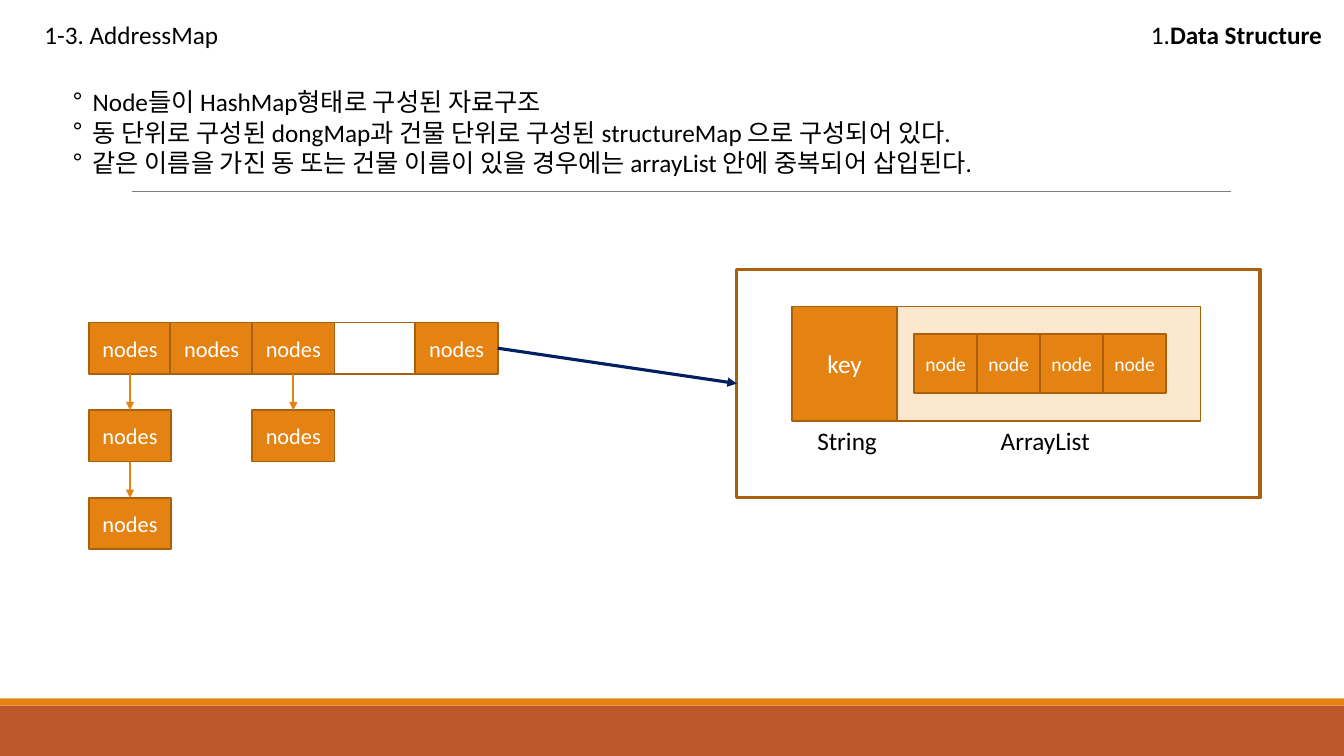
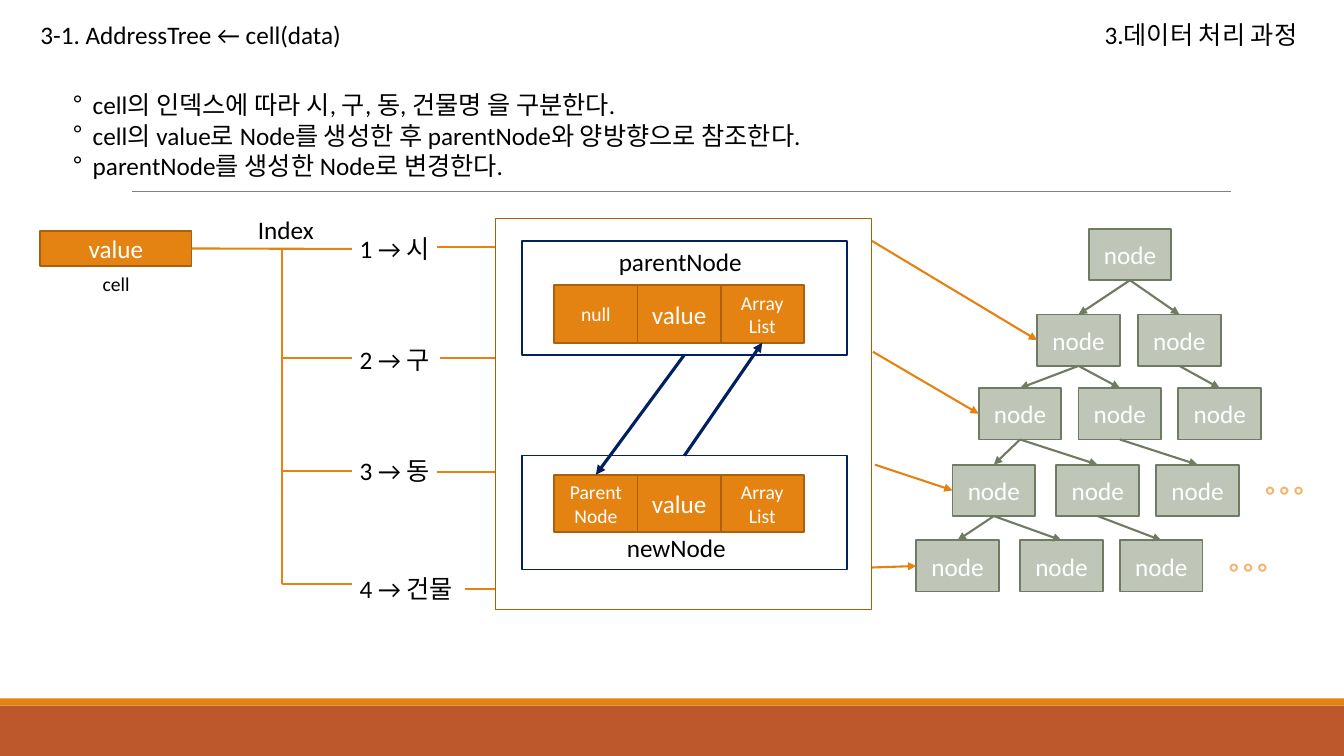
from pptx import Presentation
from pptx import util as u
from pptx.dml import color
from pptx.enum import shapes, text
from pptx.oxml.xmlchemy import OxmlElement

ORANGE, RUST, BROWN, CREAM = "E48312", "BD582C", "A9610D", "FBE6CE"
NAVY, SAGE, MOSS, AMBER = "002060", "BFC6B8", "6F7B63", "F3B56C"
WHITE, BLACK, GREY = "FFFFFF", "000000", "808080"
hue = color.RGBColor.from_string

# Slide size and a grid of 40/3 columns by 7.5 rows
prs = Presentation()
prs.slide_width, prs.slide_height = u.Inches(40 / 3), u.Inches(7.5)
COLS, ROWS = 40 / 3, 7.5
CELL = prs.slide_width / COLS


def box(page, at, words="", fill=None, edge=None, size=18, ink=None, pts=1.25, bold=None, hold=None):
    """Place a filled or outlined box, plain text, or a given placeholder."""
    x, y, w, h = [round(n * CELL) for n in at]
    solid = bool(fill or edge)
    if hold is not None:
        item = hold
        item.left, item.top, item.width, item.height = x, y, w, h
    elif solid:
        item = page.shapes.add_shape(shapes.MSO_SHAPE.RECTANGLE, x, y, w, h)
        item.shadow.inherit = False
        for part, tone in ((item.fill, fill), (item.line.fill, edge)):
            if tone:
                part.solid()
                part.fore_color.rgb = hue(tone)
            else:
                part.background()
        if edge:
            item.line.width = u.Pt(pts)
    else:
        item = page.shapes.add_textbox(x, y, w, h)
    frame = item.text_frame
    frame.word_wrap, frame.auto_size = True, text.MSO_AUTO_SIZE.NONE
    frame.vertical_anchor = text.MSO_ANCHOR.MIDDLE if solid else text.MSO_ANCHOR.TOP
    if solid:
        frame.margin_left = frame.margin_right = frame.margin_top = frame.margin_bottom = 0
    frame.text = words
    for para in frame.paragraphs:
        para.alignment = text.PP_ALIGN.CENTER if solid else text.PP_ALIGN.LEFT
        para.space_before = u.Pt(0)
        for run in para.runs:
            run.font.name, run.font.size, run.font.bold = "Calibri", u.Pt(size), bold
            run.font.color.rgb = hue(ink or (WHITE if solid else BLACK))
    return item


def wire(page, start, end, tone=ORANGE, pts=1.5, tip=False):
    """Draw a line between points (x, y) or joints (shape, side)."""
    spots = [(0, 0) if hasattr(p[0], "shape_id") else p for p in (start, end)]
    ends = [round(n * CELL) for p in spots for n in p]
    line = page.shapes.add_connector(shapes.MSO_CONNECTOR.STRAIGHT, *ends)
    for p, join in ((start, line.begin_connect), (end, line.end_connect)):
        if hasattr(p[0], "shape_id"):
            join(*p)
    line.line.color.rgb, line.line.width = hue(tone), u.Pt(pts)
    if tip:
        head = OxmlElement("a:tailEnd")
        head.set("type", "triangle")
        line.element.xpath("./p:spPr/a:ln")[0].append(head)
    line.element.xpath("./p:spPr")[0].append(OxmlElement("a:effectLst"))
    return line


# Headings and lists of both slides
topics = [
    ("1-3. AddressMap", 0.34, "1.", "Data Structure", 11.32, 0.81,
     ["Node들이 HashMap형태로 구성된 자료구조",
      "동 단위로 구성된 dongMap과 건물 단위로 구성된 structureMap 으로 구성되어 있다.",
      "같은 이름을 가진 동 또는 건물 이름이 있을 경우에는 arrayList 안에 중복되어 삽입된다."]),
    ("3-1. AddressTree ← cell(data)", 0.3, "3.데이터 처리 과정", "", 10.86, 0.84,
     ["cell의 인덱스에 따라 시, 구, 동, 건물명 을 구분한다.",
      "cell의 value로 Node를 생성한 후 parentNode와 양방향으로 참조한다.",
      "parentNode를 생성한 Node로 변경한다."]),
]
layout = prs.slide_layouts[1]
pages = []
for title, left, lead, strong, right, top, points in topics:
    page = prs.slides.add_slide(layout)
    pages.append(page)
    box(page, (left, 0.14, 5.11, 0.4), title, hold=page.shapes.title)
    body = box(page, (0.62, top, 12.33, 1.01), "\n".join(points), hold=page.placeholders[1])
    for para in body.text_frame.paragraphs:
        props = para._p.get_or_add_pPr()
        props.set("marL", str(u.Inches(0.2)))
        props.set("indent", str(-u.Inches(0.2)))
        mark = OxmlElement("a:buChar")
        mark.set("char", "°")
        props.append(mark)
    tag = box(page, (right, 0.14, COLS - right, 0.4), lead)
    if strong:
        run = tag.text_frame.paragraphs[0].add_run()
        run.text = strong
        run.font.name, run.font.size, run.font.bold = "Calibri", u.Pt(18), True
        run.font.color.rgb = hue(BLACK)
mapped, tree = pages

# Bands and rule, moved into the shared layout
shared = [
    box(mapped, (0, 7, COLS, ROWS - 7), fill=RUST),
    box(mapped, (0, 6.93, COLS, 0.07), fill=ORANGE),
    wire(mapped, (1.31, 1.9), (12.21, 1.9), GREY, 0.5),
]
for num, item in enumerate(shared, 101):
    item.element.xpath(".//p:cNvPr")[0].set("id", str(num))
    layout.shapes.element.append(item.element)

# Slide 1: hash table with chains
slots = {}
for col, row in [(3, 0), (0, 0), (1, 0), (2, 0), (4, 0), (0, 1), (0, 2), (2, 1)]:
    bare = col == 3
    slots[col, row] = box(mapped, (0.88 + col * 0.81, 3.2 + row * 0.87, 0.82, 0.51),
                          "" if bare else "nodes", WHITE if bare else ORANGE, BROWN, 16)
for col, row in [(0, 0), (0, 1), (2, 0)]:
    wire(mapped, (slots[col, row], 2), (slots[col, row + 1], 0), tip=True)

# Slide 1: one entry in detail
entry = box(mapped, (7.31, 2.67, 5.19, 2.27), fill=WHITE, edge=BROWN, pts=2.25)
box(mapped, (8.89, 3.04, 3.02, 1.14), fill=CREAM, edge=BROWN)
box(mapped, (7.86, 3.04, 1.04, 1.14), "key", ORANGE, BROWN)
for col in range(4):
    box(mapped, (9.07 + col * 0.625, 3.31, 0.625, 0.59), "node", ORANGE, BROWN, 14)
box(mapped, (8.01, 4.17, 0.9, 0.4), "String")
box(mapped, (9.83, 4.17, 1.2, 0.4), "ArrayList")
wire(mapped, (slots[4, 0], 3), (entry, 1), NAVY, 2.25, True)

# Slide 2: cell and its index
cell = box(tree, (0.4, 2.29, 1.5, 0.35), "value", ORANGE, BROWN)
box(tree, (0.92, 2.65, 0.6, 0.34), "cell", size=14)
box(tree, (2.46, 2.08, 0.85, 0.4), "Index")
wire(tree, (2.8, 2.47), (2.8, 5.79))
levels = [  # label, its top, branch height, exit start and height
    ("1 → 시", 2.27, 2.47, 4.34, 2.45),
    ("2 → 구", 3.37, 3.55, 4.37, 3.55),
    ("3 → 동", 4.47, 4.67, 4.34, 4.68),
    ("4 → 건물", 5.64, 5.79, 4.61, 5.84),
]
for row, (label, top, fork, start, out) in enumerate(levels):
    box(tree, (3.47, top, 1.21, 0.4), label)
    wire(tree, (2.8, fork) if row else (cell, 3), (3.49, fork))
    wire(tree, (start, out), (4.92, out))

# Slide 2: parent and new node
box(tree, (4.92, 2.17, 3.73, 3.88), edge=BROWN, pts=0.75)
frames, parts = [], []
for name, top, label, cells, first in [
    ("parentNode", 2.39, 2.39, 2.83, "null"),
    ("newNode", 4.52, 5.23, 4.71, "Parent\nNode"),
]:
    frames.append(box(tree, (5.18, top, 3.22, 1.13), fill=WHITE, edge=NAVY))
    parts.append([box(tree, (5.5 + col * 0.825, cells, 0.825, 0.57), word, ORANGE, BROWN, size)
                  for col, (word, size) in enumerate([(first, 14), ("value", 18), ("Array\nList", 14)])])
    box(tree, (6.04 if name == "parentNode" else 6.12, label, 1.49, 0.4), name)
wire(tree, (frames[0], 2), (parts[1][0], 0), NAVY, 2.25, True)
wire(tree, (frames[1], 0), (parts[0][2], 2), NAVY, 2.25, True)

# Slide 2: address tree, each child under the parent at half its index
ranks = [
    (2.27, [10.8]),
    (3.12, [10.29, 11.29]),
    (3.85, [9.71, 10.7, 11.69]),
    (4.61, [9.45, 10.48, 11.47]),
    (5.36, [9.09, 10.12, 11.11]),
]
exits = [None, (8.65, 2.39), (8.66, 3.49), (8.68, 4.61), (8.65, 5.63)]
above = []
for (top, lefts), out in zip(ranks, exits):
    nodes = [box(tree, (x, top, 0.82, 0.51), "node", SAGE, MOSS) for x in lefts]
    if above:
        for pos, node in enumerate(nodes):
            wire(tree, (above[pos // 2], 2), (node, 0), MOSS, tip=True)
        wire(tree, out, (nodes[0], 1), tip=True)
    above = nodes
for x, y in [(12.46, 4.71), (12.1, 5.47)]:
    box(tree, (x, y, 0.87, 0.4), "° ° °", ink=AMBER, bold=True)

prs.save("out.pptx")
